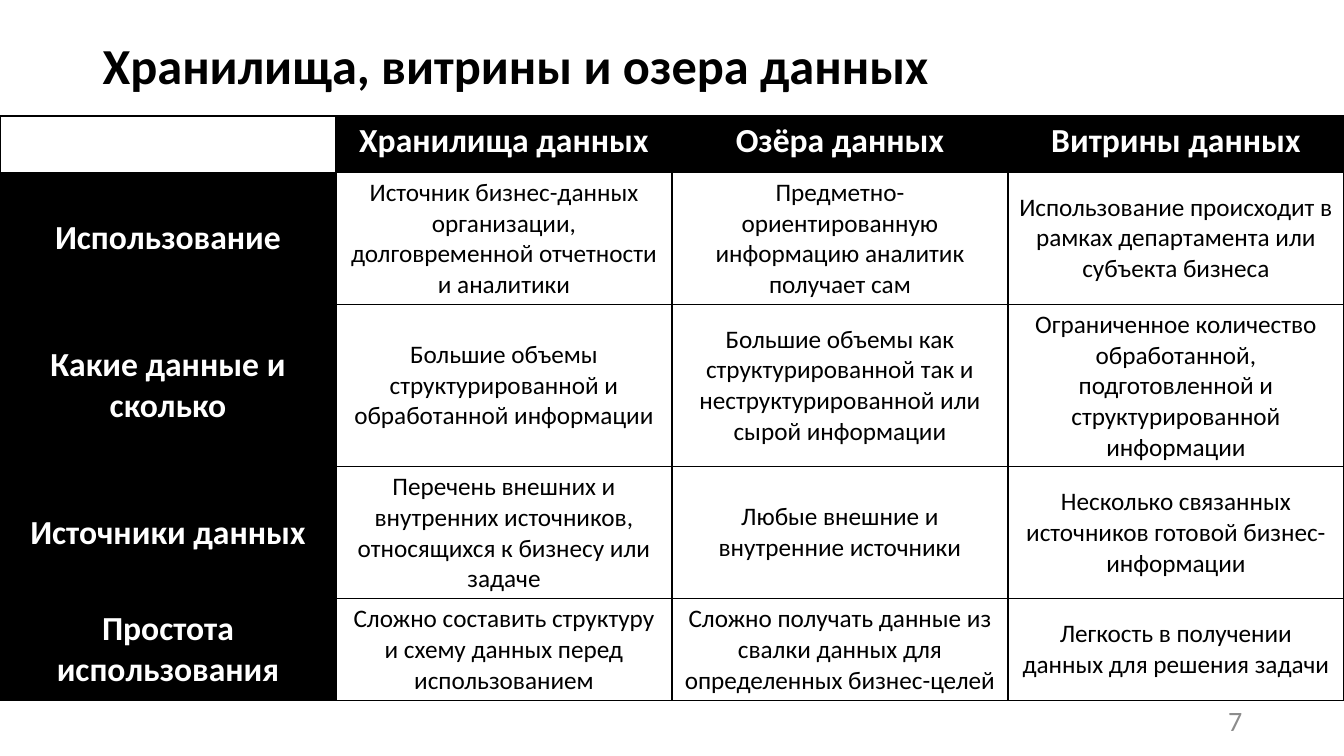
from dataclasses import dataclass

from lxml import etree
from pptx import Presentation
from pptx import util as u
from pptx.dml.color import RGBColor
from pptx.enum import text
from pptx.oxml import ns


@dataclass(frozen=True)
class Theme:
    font: str = "Calibri"
    black: str = "000000"
    white: str = "FFFFFF"
    gray: str = "8C8C8C"
    title_size: int = 36
    heading_size: int = 24
    number_size: int = 20
    body_size: int = 18
    border_width: int = 1


THEME = Theme()

COLUMN_HEADINGS = ["", "Хранилища данных", "Озёра данных", "Витрины данных"]
COMPARISON = [
    ["Использование",
     "Источник бизнес-данных организации, долговременной отчетности и аналитики",
     "Предметно-ориентированную информацию аналитик получает сам",
     "Использование происходит в рамках департамента или субъекта бизнеса"],
    ["Какие данные и сколько",
     "Большие объемы структурированной и обработанной информации",
     "Большие объемы как структурированной так и неструктурированной или сырой информации",
     "Ограниченное количество обработанной, подготовленной и структурированной информации"],
    ["Источники данных",
     "Перечень внешних и внутренних источников, относящихся к бизнесу или задаче",
     "Любые внешние и внутренние источники",
     "Несколько связанных источников готовой бизнес-информации"],
    ["Простота использования",
     "Сложно составить структуру и схему данных перед использованием",
     "Сложно получать данные из свалки данных для определенных бизнес-целей",
     "Легкость в получении данных для решения задачи"],
]
ROW_HEIGHTS = [0.56, 1.31, 1.61, 1.31, 1.01]


def add_run(paragraph, content, size, color, bold=False):
    run = paragraph.add_run()
    run.text = content
    run.font.name = THEME.font
    run.font.size = u.Pt(size)
    run.font.bold = bold
    run.font.color.rgb = RGBColor.from_string(color)


def add_text(slide, box, content, size, color, align, bold=False, spacing=None):
    shape = slide.shapes.add_textbox(*map(u.Inches, box))
    frame = shape.text_frame
    frame.word_wrap = True
    frame.vertical_anchor = text.MSO_ANCHOR.MIDDLE
    paragraph = frame.paragraphs[0]
    paragraph.alignment = align
    paragraph.line_spacing = spacing
    add_run(paragraph, content, size, color, bold)


def set_borders(cell):
    # Borders must come before the fill in the cell properties
    properties = cell._tc.get_or_add_tcPr()
    for side in ("lnL", "lnR", "lnT", "lnB"):
        line = etree.SubElement(properties, ns.qn(f"a:{side}"),
                                w=str(u.Pt(THEME.border_width)))
        fill = etree.SubElement(line, ns.qn("a:solidFill"))
        etree.SubElement(fill, ns.qn("a:srgbClr"), val=THEME.black)


def style_cell(cell, content, is_heading, anchor):
    set_borders(cell)
    dark = is_heading and content
    cell.fill.solid()
    cell.fill.fore_color.rgb = RGBColor.from_string(THEME.black if dark else THEME.white)
    cell.vertical_anchor = anchor
    if content:
        paragraph = cell.text_frame.paragraphs[0]
        paragraph.alignment = text.PP_ALIGN.CENTER
        size = THEME.heading_size if is_heading else THEME.body_size
        color = THEME.white if is_heading else THEME.black
        add_run(paragraph, content, size, color, is_heading)


def add_comparison_table(slide, left, top, width):
    rows = [COLUMN_HEADINGS, *COMPARISON]
    frame = slide.shapes.add_table(len(rows), len(COLUMN_HEADINGS), u.Inches(left),
                                   u.Inches(top), u.Inches(width),
                                   u.Inches(sum(ROW_HEIGHTS)))
    table = frame.table
    for row_index, row in enumerate(rows):
        table.rows[row_index].height = u.Inches(ROW_HEIGHTS[row_index])
        anchor = text.MSO_ANCHOR.MIDDLE if row_index else text.MSO_ANCHOR.TOP
        for column_index, content in enumerate(row):
            is_heading = row_index == 0 or column_index == 0
            style_cell(table.cell(row_index, column_index), content, is_heading, anchor)


def main():
    presentation = Presentation()
    presentation.slide_width = u.Inches(13.33)
    presentation.slide_height = u.Inches(7.5)
    slide = presentation.slides.add_slide(presentation.slide_layouts[6])

    # Title
    add_text(slide, (0.92, 0.08, 11.5, 1.2), "Хранилища, витрины и озера данных",
             THEME.title_size, THEME.black, text.PP_ALIGN.LEFT, bold=True, spacing=0.9)
    # Slide number
    add_text(slide, (9.42, 6.95, 3, 0.4), "7",
             THEME.number_size, THEME.gray, text.PP_ALIGN.RIGHT)
    # Comparison of the three kinds of storage
    add_comparison_table(slide, 0, 1.15, 13.33)

    presentation.save("out.pptx")


if __name__ == "__main__":
    main()
